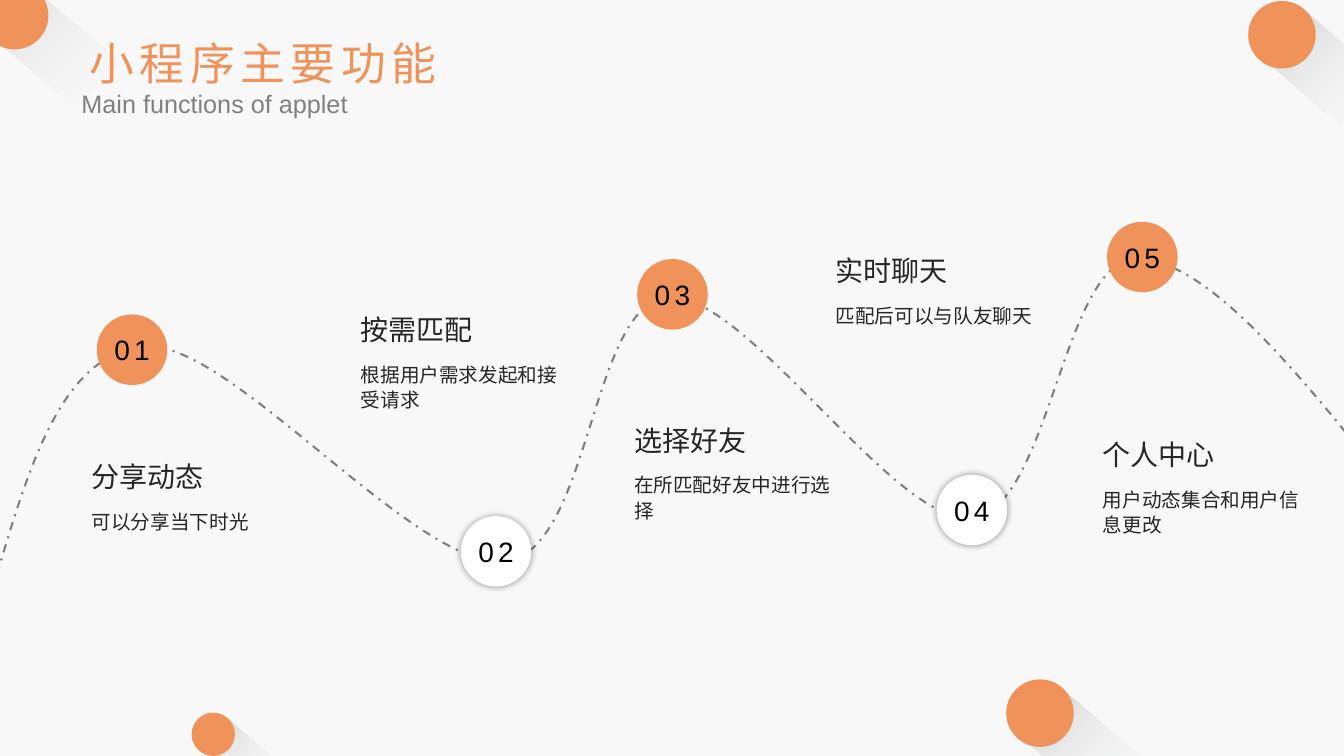
from lxml.etree import SubElement
from pptx import Presentation
from pptx.dml.color import RGBColor
from pptx.enum.dml import MSO_LINE
from pptx.enum.shapes import MSO_SHAPE
from pptx.enum.text import MSO_ANCHOR, PP_ALIGN
from pptx.oxml import parse_xml
from pptx.oxml.ns import nsdecls, qn
from pptx.util import Inches, Pt

ORANGE = RGBColor(0xEF, 0x93, 0x5B)
WHITE = RGBColor(0xFF, 0xFF, 0xFF)
BLACK = RGBColor(0x00, 0x00, 0x00)
GRAY = RGBColor(0x80, 0x80, 0x80)
DARK = RGBColor(0x26, 0x26, 0x26)
PAPER = RGBColor(0xF8, 0xF8, 0xF8)

FADE = f"""<a:gradFill {nsdecls('a')} rotWithShape="1"><a:gsLst>
<a:gs pos="0"><a:srgbClr val="F7FAFD"><a:alpha val="0"/></a:srgbClr></a:gs>
<a:gs pos="%d"><a:srgbClr val="CCCDCE"><a:alpha val="40000"/></a:srgbClr></a:gs>
<a:gs pos="100000"><a:srgbClr val="BFBFBF"/></a:gs>
</a:gsLst><a:lin ang="13500000" scaled="0"/></a:gradFill>"""
GLOW = f"""<a:outerShdw {nsdecls('a')} blurRad="63500" dist="0" dir="0" algn="ctr">
<a:srgbClr val="000000"><a:alpha val="40000"/></a:srgbClr></a:outerShdw>"""

prs = Presentation()
prs.slide_width, prs.slide_height = Inches(13.33), Inches(7.5)
slide = prs.slides.add_slide(prs.slide_layouts[6])
slide.background.fill.solid()
slide.background.fill.fore_color.rgb = PAPER
shapes = slide.shapes


def add_disc(x, y, size, color):
    disc = shapes.add_shape(MSO_SHAPE.OVAL, Inches(x), Inches(y), Inches(size), Inches(size))
    disc.shadow.inherit = False
    disc.fill.solid()
    disc.fill.fore_color.rgb = color
    disc.line.fill.background()
    return disc


def set_text(shape, text, size, color, gap=0):
    """Fill the first paragraph; gap is the letter spacing in points."""
    para = shape.text_frame.paragraphs[0]
    run = para.add_run()
    run.text = text
    para.font.name, para.font.size = "Arial", Pt(size)
    para.font.color.rgb = color
    if gap:
        run.font._element.set("spc", str(gap * 100))
    return para


# Corner discs with long fading shadows
SHADE = [(0.04, 0.48), (0.58, 0.12), (1.4, 0.82), (0.91, 1.22)]
corners = [(-0.19, -0.18, 0.67, 77), (9.98, 6.74, 0.67, 63),
           (12.38, 0.01, 0.67, 63), (1.9, 7.07, 0.43, 63)]
for x, y, size, stop in corners:
    k = size / 0.67
    pts = [(Inches(x + k * dx), Inches(y + k * dy)) for dx, dy in SHADE]
    pen = shapes.build_freeform(*pts[0])
    pen.add_line_segments(pts[1:], close=True)
    shade = pen.convert_to_shape()
    shade.shadow.inherit = False
    shade.line.fill.background()
    geom = shade._element.spPr.find(qn("a:custGeom"))
    geom.addnext(parse_xml(FADE % (stop * 1000)))
    add_disc(x, y, size, ORANGE)

# Title
title = shapes.add_textbox(Inches(0.76), Inches(0.31), Inches(3.7), Inches(0.64))
title.text_frame.word_wrap = False
set_text(title, "小程序主要功能", 32, ORANGE, 4).alignment = PP_ALIGN.CENTER
sub = shapes.add_textbox(Inches(0.71), Inches(0.83), Inches(5.24), Inches(0.4))
sub.text_frame.word_wrap = True
set_text(sub, "Main functions of applet", 18, GRAY)

# Wave: a start point, then three points for each Bezier curve
wave = [(-0.03, 5.7),
        (0.3, 4.58), (0.64, 3.46), (1.48, 3.44),
        (2.31, 3.42), (4.14, 5.65), (5, 5.57),
        (5.86, 5.49), (5.85, 3.02), (6.62, 2.95),
        (7.39, 2.88), (8.86, 5.2), (9.63, 5.14),
        (10.41, 5.08), (10.54, 2.57), (11.27, 2.57),
        (12, 2.56), (13, 3.84), (14, 5.11)]
pts = [(Inches(x), Inches(y)) for x, y in wave]
pen = shapes.build_freeform(*pts[0])
pen.add_line_segments(pts[1:], close=False)
curve = pen.convert_to_shape()
curve.shadow.inherit = False
curve.fill.background()
curve.line.color.rgb = GRAY
curve.line.width = Pt(1.5)
curve.line.dash_style = MSO_LINE.DASH_DOT
track = curve._element.find(".//" + qn("a:path"))
legs = track.findall(qn("a:lnTo"))
for i in range(0, len(legs), 3):
    bend = SubElement(track, qn("a:cubicBezTo"))
    for leg in legs[i:i + 3]:
        bend.append(leg[0])
        track.remove(leg)

# Numbered steps: disc place, text place, heading, body, body height
steps = [
    (0.96, 3.12, 0.81, 4.51, "分享动态", "可以分享当下时光", 0.35),
    (4.57, 5.12, 3.48, 3.05, "按需匹配", "根据用户需求发起和接受请求", 0.6),
    (6.32, 2.57, 6.19, 4.15, "选择好友", "在所匹配好友中进行选择", 0.6),
    (9.29, 4.71, 8.19, 2.47, "实时聊天", "匹配后可以与队友聊天", 0.35),
    (10.98, 2.2, 10.84, 4.29, "个人中心", "用户动态集合和用户信息更改", 0.6),
]
for num, (cx, cy, x, y, head, body, high) in enumerate(steps, 1):
    disc = add_disc(cx, cy, 0.7, ORANGE if num % 2 else WHITE)
    if num % 2 == 0:
        disc._element.spPr.find(qn("a:effectLst")).append(parse_xml(GLOW))
    disc.text_frame.word_wrap = False
    disc.text_frame.vertical_anchor = MSO_ANCHOR.MIDDLE
    set_text(disc, f"{num:02}", 20, BLACK, 3).alignment = PP_ALIGN.CENTER

    box = shapes.add_textbox(Inches(x), Inches(y), Inches(1.66), Inches(0.44))
    box.text_frame.word_wrap = True
    set_text(box, head, 20, DARK)
    box = shapes.add_textbox(Inches(x), Inches(y + 0.48), Inches(2.23), Inches(high))
    box.text_frame.word_wrap = True
    set_text(box, body, 14, DARK).line_spacing = Pt(18)

prs.save("out.pptx")
